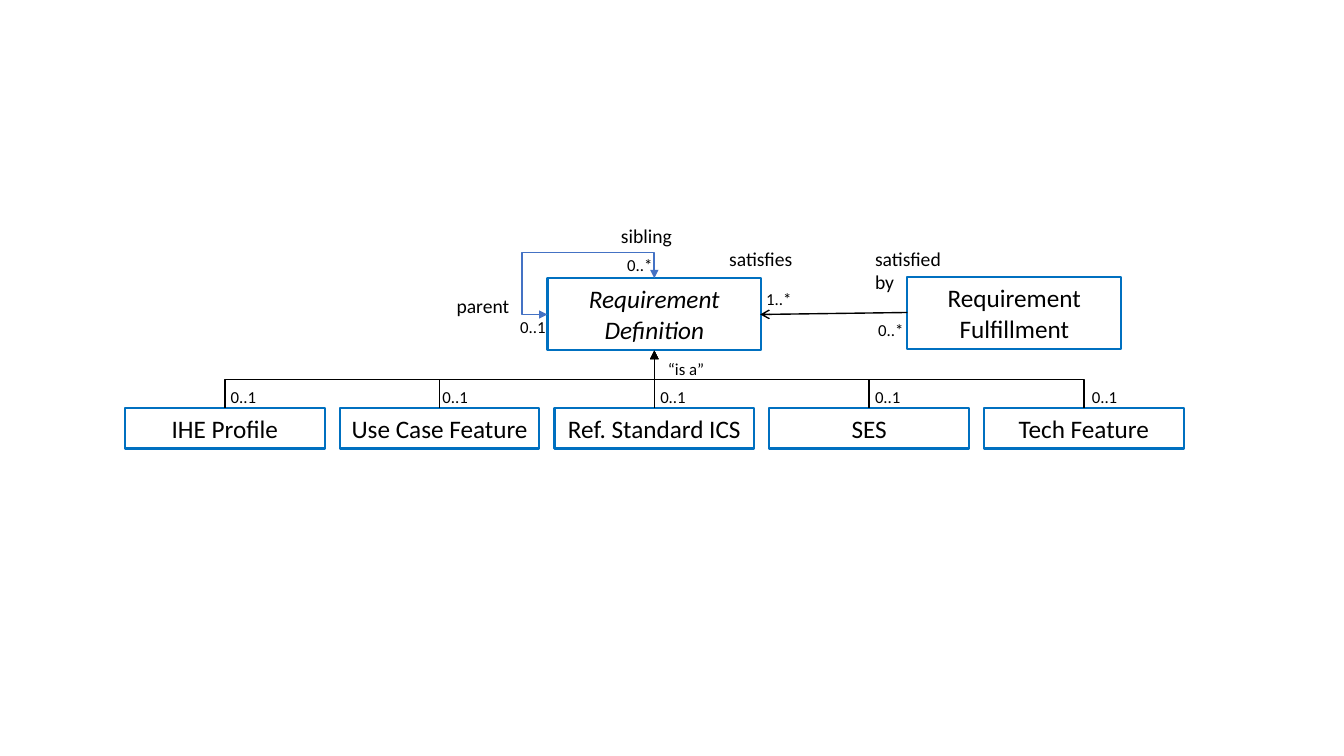
from lxml import etree
from pptx import Presentation
from pptx import util as u
from pptx.dml.color import RGBColor
from pptx.enum import shapes, text
from pptx.oxml.ns import qn

COLORS = {"text": "000000", "border": "0070C0", "loop": "4472C4"}
FONT = "Calibri"
SUBTYPES = [
    ("IHE Profile", 2.16),
    ("Use Case Feature", 4.26),
    ("Ref. Standard ICS", 6.42),
    ("SES", 8.55),
    ("Tech Feature", 10.7),
]
SUBTYPE_LEFT, SUBTYPE_STEP, SUBTYPE_TOP = 1.24, 2.13, 4.05
SUBTYPE_WIDTH, SUBTYPE_HEIGHT = 1.98, 0.4
ROOT_X, ROOT_Y = 6.49, 3.48
LABELS = [
    ("satisfies", 7.07, 2.4, 0.95, 0.34, 14, True),
    ("satisfied by", 8.58, 2.4, 0.95, 0.57, 14, False),
    ("parent", 4.43, 2.87, 0.74, 0.34, 14, False),
    ("sibling", 6.06, 2.17, 1.22, 0.34, 14, False),
    ("1..*", 7.47, 2.82, 0.51, 0.3, 12, True),
    ("0..*", 8.58, 3.12, 0.51, 0.3, 12, True),
    ("0..*", 6.09, 2.48, 0.51, 0.3, 12, True),
    ("0..1", 5.03, 3.09, 0.51, 0.3, 12, True),
    ("“is a”", 6.43, 3.51, 0.75, 0.3, 12, True),
]


def color(name):
    return RGBColor.from_string(COLORS[name])


def write(frame, words, size, centered=True, italic=False):
    frame.word_wrap = True
    frame.text = words
    for paragraph in frame.paragraphs:
        paragraph.alignment = text.PP_ALIGN.CENTER if centered else text.PP_ALIGN.LEFT
        for run in paragraph.runs:
            run.font.name = FONT
            run.font.size = u.Pt(size)
            run.font.italic = italic
            run.font.color.rgb = color("text")


def add_class(slide, name, left, top, width, height, italic=False):
    box = slide.shapes.add_shape(
        shapes.MSO_SHAPE.RECTANGLE,
        u.Inches(left), u.Inches(top), u.Inches(width), u.Inches(height))
    box.shadow.inherit = False
    box.fill.background()
    box.line.color.rgb = color("border")
    box.line.width = u.Pt(1.5)
    box.text_frame.vertical_anchor = text.MSO_ANCHOR.MIDDLE
    write(box.text_frame, name, 18, italic=italic)


def add_label(slide, words, left, top, width, height, size, centered):
    label = slide.shapes.add_textbox(
        u.Inches(left), u.Inches(top), u.Inches(width), u.Inches(height))
    write(label.text_frame, words, size, centered)


def add_link(slide, kind, start, end, line_color="text", width=1, head=None, tail=None):
    link = slide.shapes.add_connector(kind, *(u.Inches(v) for v in (*start, *end)))
    link.line.color.rgb = color(line_color)
    link.line.width = u.Pt(width)
    outline = link.line._ln
    for tag, arrow in (("a:headEnd", head), ("a:tailEnd", tail)):
        if arrow:
            etree.SubElement(outline, qn(tag), type=arrow)
    etree.SubElement(link._element.spPr, qn("a:effectLst"))
    return link


def turn(link, degrees, flipped):
    xfrm = link._element.spPr.find(qn("a:xfrm"))
    for flip in ("flipH", "flipV"):
        xfrm.attrib.pop(flip, None)
    xfrm.set("rot", str(degrees * 60000))
    if flipped:
        xfrm.set("flipH", "1")


def add_branch(slide, x):
    start, end = (ROOT_X, ROOT_Y), (x, SUBTYPE_TOP)
    if abs(x - ROOT_X) < 0.05:
        add_link(slide, shapes.MSO_CONNECTOR.STRAIGHT, start, (ROOT_X, SUBTYPE_TOP),
                 head="triangle")
        return
    branch = add_link(slide, shapes.MSO_CONNECTOR.ELBOW, start, end, head="triangle")
    span, drop = abs(x - ROOT_X), SUBTYPE_TOP - ROOT_Y
    branch.left = u.Inches((x + ROOT_X - drop) / 2)
    branch.top = u.Inches((SUBTYPE_TOP + ROOT_Y - span) / 2)
    branch.width, branch.height = u.Inches(drop), u.Inches(span)
    to_right = x > ROOT_X
    turn(branch, 270 if to_right else 90, to_right)


def add_self_loop(slide):
    loop = add_link(slide, shapes.MSO_CONNECTOR.ELBOW, (5.43, 3.12), (ROOT_X, 2.76),
                    "loop", 1.25, "triangle", "triangle")
    turn(loop, 180, True)
    geometry = loop._element.spPr.find(qn("a:prstGeom"))
    geometry.set("prst", "bentConnector4")
    guides = geometry.find(qn("a:avLst"))
    if guides is None:
        guides = etree.SubElement(geometry, qn("a:avLst"))
    for name, value in (("adj1", -23600), ("adj2", 170700)):
        etree.SubElement(guides, qn("a:gd"), name=name, fmla=f"val {value}")


def main():
    deck = Presentation()
    deck.slide_width, deck.slide_height = u.Inches(13.33), u.Inches(7.5)
    slide = deck.slides.add_slide(deck.slide_layouts[6])

    add_class(slide, "Requirement Definition", 5.43, 2.76, 2.12, 0.71, italic=True)
    add_class(slide, "Requirement\nFulfillment", 9, 2.75, 2.12, 0.71)
    add_link(slide, shapes.MSO_CONNECTOR.STRAIGHT, (9, 3.1), (7.54, 3.12), tail="arrow")
    add_self_loop(slide)

    for index, (name, multiplicity_left) in enumerate(SUBTYPES):
        left = SUBTYPE_LEFT + index * SUBTYPE_STEP
        add_class(slide, name, left, SUBTYPE_TOP, SUBTYPE_WIDTH, SUBTYPE_HEIGHT)
        add_branch(slide, left + SUBTYPE_WIDTH / 2)
        add_label(slide, "0..1", multiplicity_left, 3.79, 0.51, 0.3, 12, True)
    for label in LABELS:
        add_label(slide, *label)

    deck.save("out.pptx")


if __name__ == "__main__":
    main()
